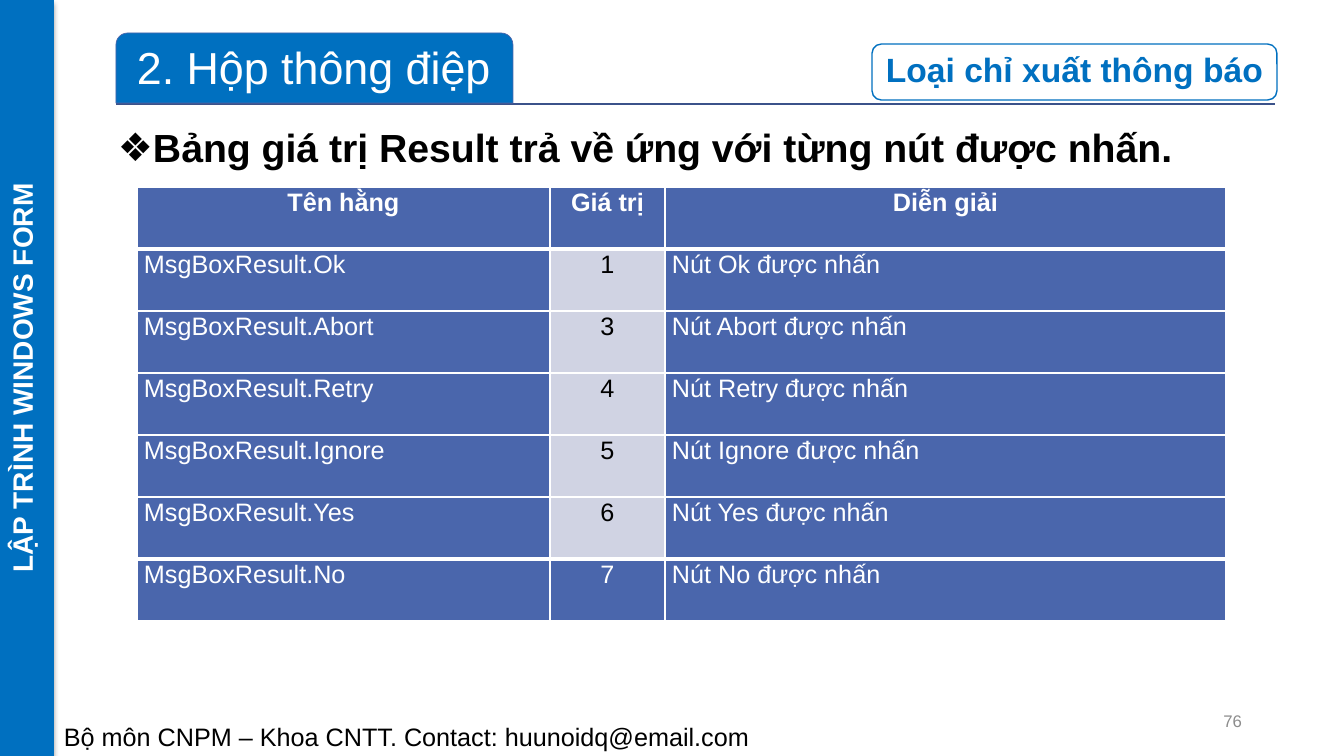
from dataclasses import dataclass

from lxml import etree
from pptx import Presentation
from pptx import util as u
from pptx.dml.color import RGBColor
from pptx.enum import shapes, text
from pptx.oxml import ns

COLORS = {
    "blue": "0070C0",
    "table": "4A66AC",
    "pale": "D0D3E3",
    "rule": "3B528A",
    "grey": "8C8C8C",
    "white": "FFFFFF",
    "black": "000000",
}
SCALE = 12192000 / 1344
LEFT, CENTER, RIGHT, JUSTIFY = (
    text.PP_ALIGN.LEFT, text.PP_ALIGN.CENTER, text.PP_ALIGN.RIGHT, text.PP_ALIGN.JUSTIFY,
)
TOP, MIDDLE = text.MSO_ANCHOR.TOP, text.MSO_ANCHOR.MIDDLE


@dataclass(frozen=True)
class Area:
    left: int
    top: int
    width: int
    height: int

    def emu(self) -> tuple:
        return px(self.left), px(self.top), px(self.width), px(self.height)


@dataclass(frozen=True)
class Style:
    size: int
    color: str
    bold: bool = False
    align: text.PP_ALIGN = LEFT
    spacing: float = 1.0


@dataclass(frozen=True)
class Label:
    words: str
    area: Area
    style: Style
    anchor: text.MSO_ANCHOR = TOP


@dataclass(frozen=True)
class Panel:
    kind: shapes.MSO_SHAPE
    area: Area
    fill: str
    line: str | None = None
    line_width: float = 0


@dataclass(frozen=True)
class Result:
    name: str
    value: int


TITLE = Label("2. Hộp thông điệp", Area(119, 36, 390, 67),
              Style(32, "white", False, CENTER, 0.9), MIDDLE)
LABELS = [
    Label("Bộ môn CNPM – Khoa CNTT. Contact: huunoidq@email.com",
          Area(54, 716, 1289, 40), Style(18, "black")),
    Label("76", Area(950, 701, 302, 40), Style(12, "grey", align=RIGHT), MIDDLE),
]
HEADING = Label("Bảng giá trị Result trả về ứng với từng nút được nhấn.",
                Area(108, 124, 1184, 56), Style(28, "black", True, spacing=0.9))
TAB = Panel(shapes.MSO_SHAPE.ROUND_2_SAME_RECTANGLE, Area(116, 33, 397, 70),
            "blue", "table", 0.5)
BADGE = Panel(shapes.MSO_SHAPE.ROUNDED_RECTANGLE, Area(872, 44, 405, 56),
              "white", "blue", 1)
SIDEBAR = Panel(shapes.MSO_SHAPE.RECTANGLE, Area(0, 0, 54, 756), "blue")
HEADERS = ["Tên hằng", "Giá trị", "Diễn giải"]
RESULTS = [Result("Ok", 1), Result("Abort", 3), Result("Retry", 4),
           Result("Ignore", 5), Result("Yes", 6), Result("No", 7)]
COLUMNS = [413, 115, 561]
ROW_HEIGHT = 62


def px(length: int) -> u.Emu:
    return u.Emu(round(length * SCALE))


def rgb(name: str) -> RGBColor:
    return RGBColor.from_string(COLORS[name])


def add_xml(parent, tag: str, **attributes):
    return etree.SubElement(parent, ns.qn(tag), attributes)


def write(frame, words: str, style: Style, anchor: text.MSO_ANCHOR = TOP):
    frame.word_wrap = True
    frame.auto_size = text.MSO_AUTO_SIZE.NONE
    frame.vertical_anchor = anchor
    style_paragraph(frame.paragraphs[0], words, style)


def style_paragraph(para, words: str, style: Style):
    para.text = words
    para.alignment = style.align
    para.line_spacing = style.spacing
    para.font.name = "Arial"
    para.font.size = u.Pt(style.size)
    para.font.bold = style.bold
    para.font.color.rgb = rgb(style.color)


def add_label(page, label: Label):
    box = page.shapes.add_textbox(*label.area.emu())
    write(box.text_frame, label.words, label.style, label.anchor)


def add_heading(page):
    box = page.shapes.add_textbox(*HEADING.area.emu())
    properties = box.text_frame.paragraphs[0]._p.get_or_add_pPr()
    properties.set("marL", str(px(25)))
    properties.set("indent", str(-px(25)))
    add_xml(properties, "a:buFont", typeface="Arial")
    add_xml(properties, "a:buChar", char="❖")
    write(box.text_frame, HEADING.words, HEADING.style)


def add_panel(page, panel: Panel):
    shape = page.shapes.add_shape(panel.kind, *panel.area.emu())
    shape.shadow.inherit = False
    shape.fill.solid()
    shape.fill.fore_color.rgb = rgb(panel.fill)
    if panel.line:
        shape.line.color.rgb = rgb(panel.line)
        shape.line.width = u.Pt(panel.line_width)
    else:
        shape.line.fill.background()
    return shape


def add_title(page):
    tab = add_panel(page, TAB)
    title = page.shapes.title
    title.left, title.top, title.width, title.height = TITLE.area.emu()
    frame = title.text_frame
    frame.margin_left = frame.margin_right = frame.margin_top = frame.margin_bottom = px(7)
    write(frame, TITLE.words, TITLE.style, TITLE.anchor)
    tab._element.addnext(title._element)


def add_rule(page):
    rule = page.shapes.add_connector(
        shapes.MSO_CONNECTOR.STRAIGHT, px(116), px(104), px(1275), px(104))
    rule.line.color.rgb = rgb("rule")
    rule.line.width = u.Pt(1)
    add_xml(rule._element.spPr, "a:effectLst")


def add_sidebar(page):
    sidebar = add_panel(page, SIDEBAR)
    effects = sidebar._element.spPr.find(ns.qn("a:effectLst"))
    shadow = add_xml(effects, "a:outerShdw", blurRad=str(u.Pt(3.5)), dist=str(u.Pt(2.2)),
                     dir="5400000", rotWithShape="0")
    add_xml(add_xml(shadow, "a:srgbClr", val=COLORS["black"]), "a:alpha", val="32000")
    sidebar.text_frame._txBody.bodyPr.set("vert", "vert270")
    write(sidebar.text_frame, "LẬP TRÌNH WINDOWS FORM", Style(20, "white", True, CENTER))


def format_cell(cell, words: str, style: Style, fill: str, top: int, bottom: int):
    cell.margin_left = cell.margin_right = px(7)
    cell.margin_top = cell.margin_bottom = 0
    style_paragraph(cell.text_frame.paragraphs[0], words, style)
    properties = cell._tc.get_or_add_tcPr()
    for side, width in (("L", 1), ("R", 1), ("T", top), ("B", bottom)):
        border = add_xml(properties, f"a:ln{side}", w=str(u.Pt(width)))
        add_xml(add_xml(border, "a:solidFill"), "a:srgbClr", val=COLORS["white"])
    cell.fill.solid()
    cell.fill.fore_color.rgb = rgb(fill)


def add_results(page):
    rows = [HEADERS] + [
        [f"MsgBoxResult.{result.name}", str(result.value), f"Nút {result.name} được nhấn"]
        for result in RESULTS
    ]
    last = len(rows) - 1
    area = Area(137, 187, sum(COLUMNS), ROW_HEIGHT * len(rows))
    table = page.shapes.add_table(len(rows), len(COLUMNS), *area.emu()).table
    table.horz_banding = False
    for column, width in zip(table.columns, COLUMNS):
        column.width = px(width)
    for r, row in enumerate(rows):
        table.rows[r].height = px(ROW_HEIGHT)
        top = 3 if r in (1, last) else 1
        bottom = 3 if r in (0, last - 1) else 1
        for c, words in enumerate(row):
            pale = c == 1 and 0 < r < last
            align = CENTER if r == 0 or c == 1 else JUSTIFY
            style = Style(18, "black" if pale else "white", r == 0, align, 1.07)
            format_cell(table.cell(r, c), words, style, "pale" if pale else "table", top, bottom)


def main():
    deck = Presentation()
    deck.slide_width, deck.slide_height = px(1344), px(756)
    page = deck.slides.add_slide(deck.slide_layouts.get_by_name("Title Only"))
    add_rule(page)
    add_title(page)
    add_heading(page)
    badge = add_panel(page, BADGE)
    write(badge.text_frame, "Loại chỉ xuất thông báo",
          Style(24, "blue", True, CENTER, 0.9), MIDDLE)
    for label in LABELS:
        add_label(page, label)
    add_sidebar(page)
    add_results(page)
    deck.save("out.pptx")


if __name__ == "__main__":
    main()
